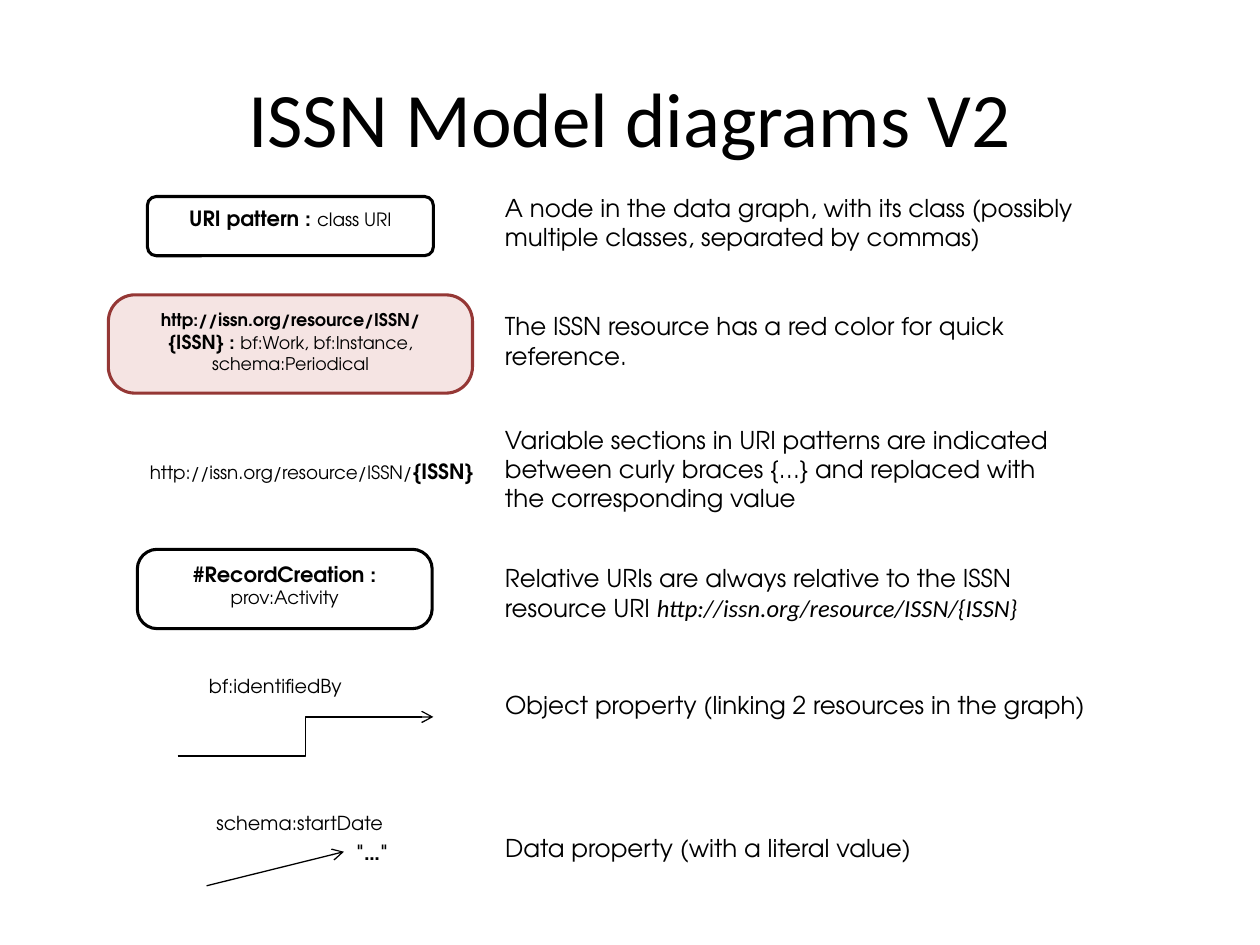
import pptx
import pptx.util
import pptx.dml.color
import pptx.enum.shapes
import pptx.enum.text
import lxml.etree

EMU_PER_PX = 9144
SANS, TITLE_FONT = "TeX Gyre Adventor", "Calibri"
BLACK, RED, PINK = "000000", "953735", "F5E4E3"
URI = "http://issn.org/resource/ISSN/"
LEFT, CENTER = pptx.enum.text.PP_ALIGN.LEFT, pptx.enum.text.PP_ALIGN.CENTER
TOP, MIDDLE = pptx.enum.text.MSO_ANCHOR.TOP, pptx.enum.text.MSO_ANCHOR.MIDDLE
STRAIGHT = pptx.enum.shapes.MSO_CONNECTOR.STRAIGHT
ELBOW = pptx.enum.shapes.MSO_CONNECTOR.ELBOW

TITLE = ((50, 30, 900, 125), [("ISSN Model diagrams V2", {"size": 44, "name": TITLE_FONT})])

EXPLANATION_LEFT = 391
EXPLANATIONS = [
    (148, 500, 57, [("A node in the data graph, with its class (possibly multiple classes, "
                     "separated by commas)", {})]),
    (242, 500, 57, [("The ISSN resource has a red color for quick reference.", {})]),
    (332, 477, 81, [("Variable sections in URI patterns are indicated between curly braces {…} "
                     "and replaced with the corresponding value", {})]),
    (442, 477, 57, [("Relative URIs are always relative to the ISSN resource URI ", {}),
                    (URI + "{ISSN}", {"name": TITLE_FONT, "italic": True})]),
    (543, 492, 34, [("Object property (linking 2 resources in the graph)", {})]),
    (656, 359, 34, [("Data property (with a literal value)", {})]),
]

NODES = [
    ((117, 156, 227, 47), 0.15, None, BLACK,
     [("URI pattern : ", {"size": 12, "bold": True}), ("class URI", {"size": 10.5})]),
    ((86, 234, 289, 78), 0.27, PINK, RED,
     [(URI, {"size": 10, "bold": True}), ("{ISSN} : ", {"size": 11, "bold": True}),
      ("bf:Work, bf:Instance, schema:Periodical", {"size": 10})]),
    ((109, 436, 234, 63), 0.25, None, BLACK,
     [("#RecordCreation : ", {"size": 12, "bold": True}), ("prov:Activity", {"size": 10.5})]),
]
LITERAL = ((273, 668, 55, 16), 0, None, None, [("\"…\"", {"size": 12, "bold": True})])

LABELS = [
    ((109, 359, 288, 30), LEFT, False,
     [(URI, {"size": 10.5}), ("{ISSN}", {"size": 12, "bold": True})]),
    ((156, 530, 203, 29), LEFT, True, [("bf:identifiedBy", {"size": 11})]),
    ((156, 639, 164, 29), CENTER, True, [("schema:startDate", {"size": 11})]),
]

ARROWS = [(ELBOW, (141, 600, 344, 569)), (STRAIGHT, (164, 703, 273, 676))]


def px(*lengths):
    return [pptx.util.Emu(length * EMU_PER_PX) for length in lengths]


def color(hex_value):
    return pptx.dml.color.RGBColor.from_string(hex_value)


def write(shape, spans, align=LEFT, anchor=TOP, wrap=True):
    frame = shape.text_frame
    frame.word_wrap = wrap
    frame.vertical_anchor = anchor
    para = frame.paragraphs[0]
    para.alignment = align
    for text, changes in spans:
        span = para.add_run()
        span.text = text
        formats = {"name": SANS, "size": 14, "bold": False, "italic": False} | changes
        formats["size"] = pptx.util.Pt(formats["size"])
        for key, value in formats.items():
            setattr(span.font, key, value)
        span.font.color.rgb = color(BLACK)


def add_text(page, place, spans, **layout):
    write(page.shapes.add_textbox(*px(*place)), spans, **layout)


def add_node(page, place, rounding, fill, outline, spans, **layout):
    box = page.shapes.add_shape(pptx.enum.shapes.MSO_SHAPE.ROUNDED_RECTANGLE, *px(*place))
    box.shadow.inherit = False
    box.adjustments[0] = rounding
    if fill:
        box.fill.solid()
        box.fill.fore_color.rgb = color(fill)
    else:
        box.fill.background()
    if outline:
        box.line.color.rgb = color(outline)
        box.line.width = pptx.util.Pt(1.75)
    else:
        box.line.fill.background()
    write(box, spans, **layout)


def add_arrow(page, kind, ends):
    arrow = page.shapes.add_connector(kind, *px(*ends))
    arrow.line.color.rgb = color(BLACK)
    arrow.line.width = pptx.util.Pt(0.75)
    tail = lxml.etree.SubElement(arrow.line._get_or_add_ln(), pptx.oxml.ns.qn("a:tailEnd"))
    tail.set("type", "arrow")
    lxml.etree.SubElement(arrow._element.spPr, pptx.oxml.ns.qn("a:effectLst"))


def main():
    deck = pptx.Presentation()
    deck.slide_width, deck.slide_height = px(1000, 750)
    page = deck.slides.add_slide(deck.slide_layouts[6])
    add_text(page, *TITLE, align=CENTER, anchor=MIDDLE)
    for top, width, height, spans in EXPLANATIONS:
        add_text(page, (EXPLANATION_LEFT, top, width, height), spans)
    for node in NODES:
        add_node(page, *node, align=CENTER)
    add_node(page, *LITERAL, anchor=MIDDLE)
    for place, align, wrap, spans in LABELS:
        add_text(page, place, spans, align=align, wrap=wrap)
    for arrow in ARROWS:
        add_arrow(page, *arrow)
    deck.save("out.pptx")


if __name__ == "__main__":
    main()
